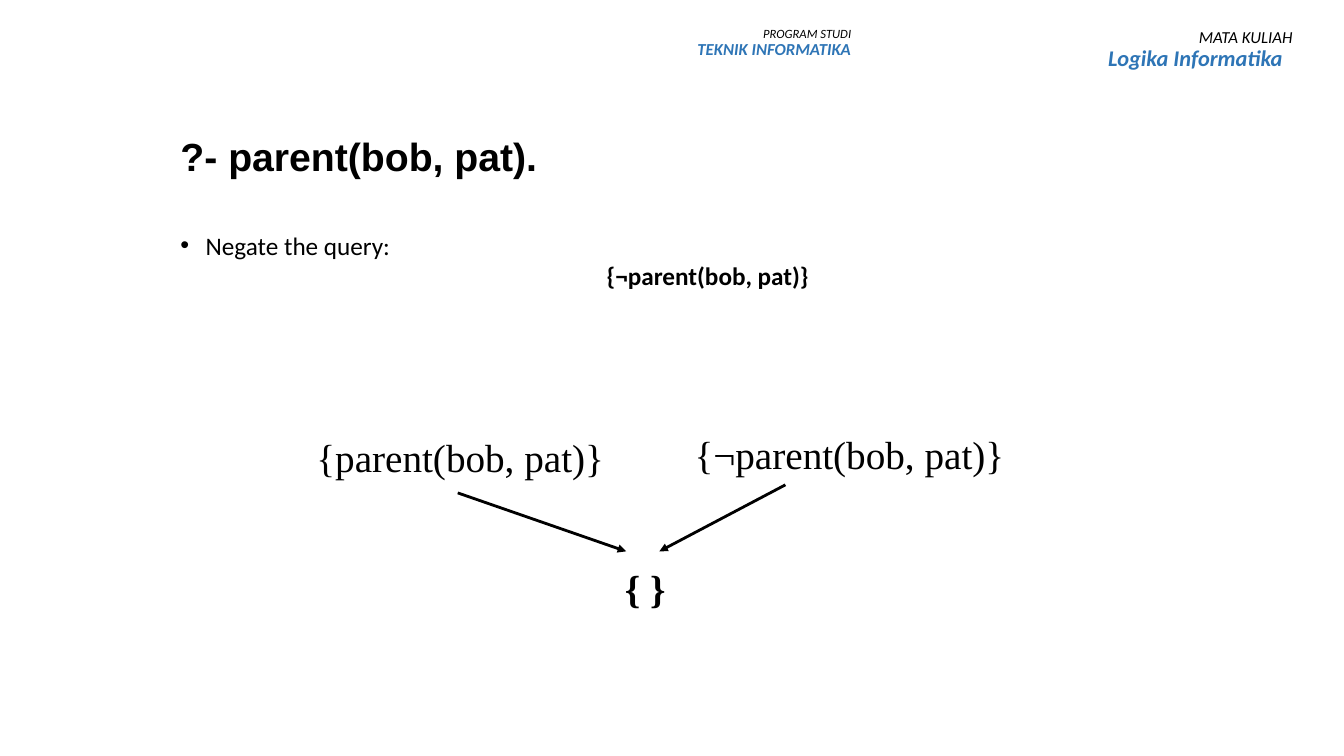
from dataclasses import dataclass

from lxml import etree
from pptx import Presentation
from pptx.dml.color import RGBColor
from pptx.enum import shapes, text
from pptx.oxml import ns
from pptx.util import Inches, Pt

# Content: boxes are (left, top, width, height) in inches
TITLE = ("?- parent(bob, pat).", (1.69, 1.13, 10.66, 0.89))
BODY = (("Negate the query:", "{¬parent(bob, pat)}"), (1.69, 2.23, 10.66, 3.26))
CLAUSES = [
    ("{parent(bob, pat)}", (3.04, 4.25, 3.06, 0.57)),
    ("{¬parent(bob, pat)}", (6.79, 4.22, 3.28, 0.57)),
]
RESOLVENT = ("{ }", (6.1, 5.54, 0.58, 0.58))
ARROWS = [((4.54, 4.89), (6.21, 5.47)), ((7.79, 4.81), (6.54, 5.47))]
# Caption, name, their sizes, right indent of the name, box
HEADERS = [
    ("PROGRAM STUDI", "TEKNIK INFORMATIKA", (9, 12), 0, (6.03, 0.22, 2.51, 0.56)),
    ("MATA KULIAH", "Logika Informatika", (12, 16), 0.1, (9.16, 0.24, 3.76, 0.74)),
]


@dataclass(frozen=True)
class Theme:
    ink: RGBColor = RGBColor(0, 0, 0)
    accent: RGBColor = RGBColor(0x2E, 0x75, 0xB6)
    title_font: str = "Arial"
    body_font: str = "Calibri"
    clause_font: str = "Times New Roman"
    large: int = 28
    body: int = 18
    line: int = 2


THEME = Theme()


def place(shape, box):
    shape.left, shape.top, shape.width, shape.height = map(Inches, box)


def set_font(paragraph, name, size, color=THEME.ink, bold=False, italic=False):
    font = paragraph.font
    font.name, font.size, font.bold, font.italic = name, Pt(size), bold, italic
    font.color.rgb = color


def add_clause(slide, words, box, bold=False):
    shape = slide.shapes.add_textbox(*map(Inches, box))
    frame = shape.text_frame
    frame.word_wrap = False
    frame.text = words
    set_font(frame.paragraphs[0], THEME.clause_font, THEME.large, bold=bold)
    return frame


def add_header(slide, caption, name, sizes, indent, box):
    frame = slide.shapes.add_textbox(*map(Inches, box)).text_frame
    frame.word_wrap = True
    frame.text = f"{caption}\n{name}"
    for paragraph, size in zip(frame.paragraphs, sizes):
        paragraph.alignment = text.PP_ALIGN.RIGHT
        paragraph.line_spacing = 0.9
        set_font(paragraph, THEME.body_font, size, italic=True)
    paragraph.font.bold = True
    paragraph.font.color.rgb = THEME.accent
    paragraph._p.get_or_add_pPr().set("marR", str(Inches(indent)))


def add_arrow(slide, start, end):
    arrow = slide.shapes.add_connector(
        shapes.MSO_CONNECTOR.STRAIGHT, *map(Inches, start + end))
    arrow.line.color.rgb = THEME.ink
    arrow.line.width = Pt(THEME.line)
    line = arrow.line._get_or_add_ln()
    etree.SubElement(line, ns.qn("a:tailEnd"), type="triangle")
    etree.SubElement(arrow._element.spPr, ns.qn("a:effectLst"))


def main():
    presentation = Presentation()
    presentation.slide_width, presentation.slide_height = Inches(13.33), Inches(7.5)
    slide = presentation.slides.add_slide(presentation.slide_layouts[1])

    # Title
    words, box = TITLE
    title = slide.shapes.title
    place(title, box)
    title.text_frame.text = words
    title.text_frame.vertical_anchor = text.MSO_ANCHOR.MIDDLE
    paragraph = title.text_frame.paragraphs[0]
    paragraph.alignment = text.PP_ALIGN.LEFT
    paragraph.line_spacing = 0.9
    set_font(paragraph, THEME.title_font, THEME.large, bold=True)

    # Bulleted step and the centred negation
    lines, box = BODY
    body = slide.placeholders[1]
    place(body, box)
    body.text_frame.text = "\n".join(lines)
    step, negation = body.text_frame.paragraphs
    for paragraph in (step, negation):
        paragraph.space_before = Pt(0)
        properties = paragraph._p.get_or_add_pPr()
        properties.set("marL", str(Inches(0.25)))
        properties.set("indent", str(-Inches(0.25)))
        if paragraph is step:
            etree.SubElement(properties, ns.qn("a:buFont"), typeface="Arial")
            etree.SubElement(properties, ns.qn("a:buChar"), char="•")
        else:
            etree.SubElement(properties, ns.qn("a:buNone"))
        set_font(paragraph, THEME.body_font, THEME.body, bold=paragraph is negation)
    negation.alignment = text.PP_ALIGN.CENTER

    # Resolution tree
    for words, box in CLAUSES:
        frame = add_clause(slide, words, box)
        frame.auto_size = text.MSO_AUTO_SIZE.SHAPE_TO_FIT_TEXT
    for start, end in ARROWS:
        add_arrow(slide, start, end)
    # The braces need the right margin's room to stay on one line
    frame = add_clause(slide, *RESOLVENT, bold=True)
    frame.vertical_anchor = text.MSO_ANCHOR.MIDDLE
    frame.margin_right = 0

    # Page headers
    for header in HEADERS:
        add_header(slide, *header)

    presentation.save("out.pptx")


if __name__ == "__main__":
    main()
